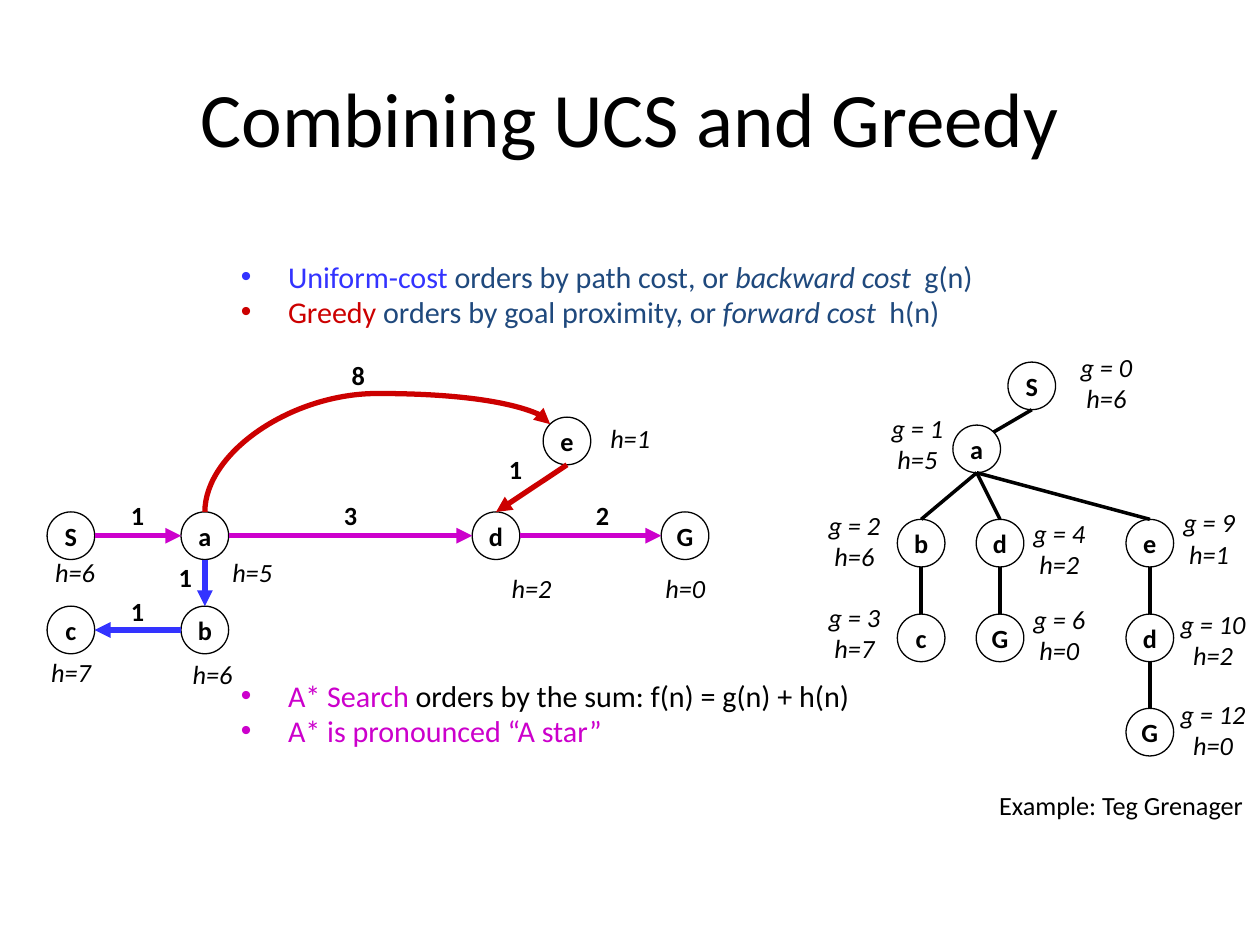
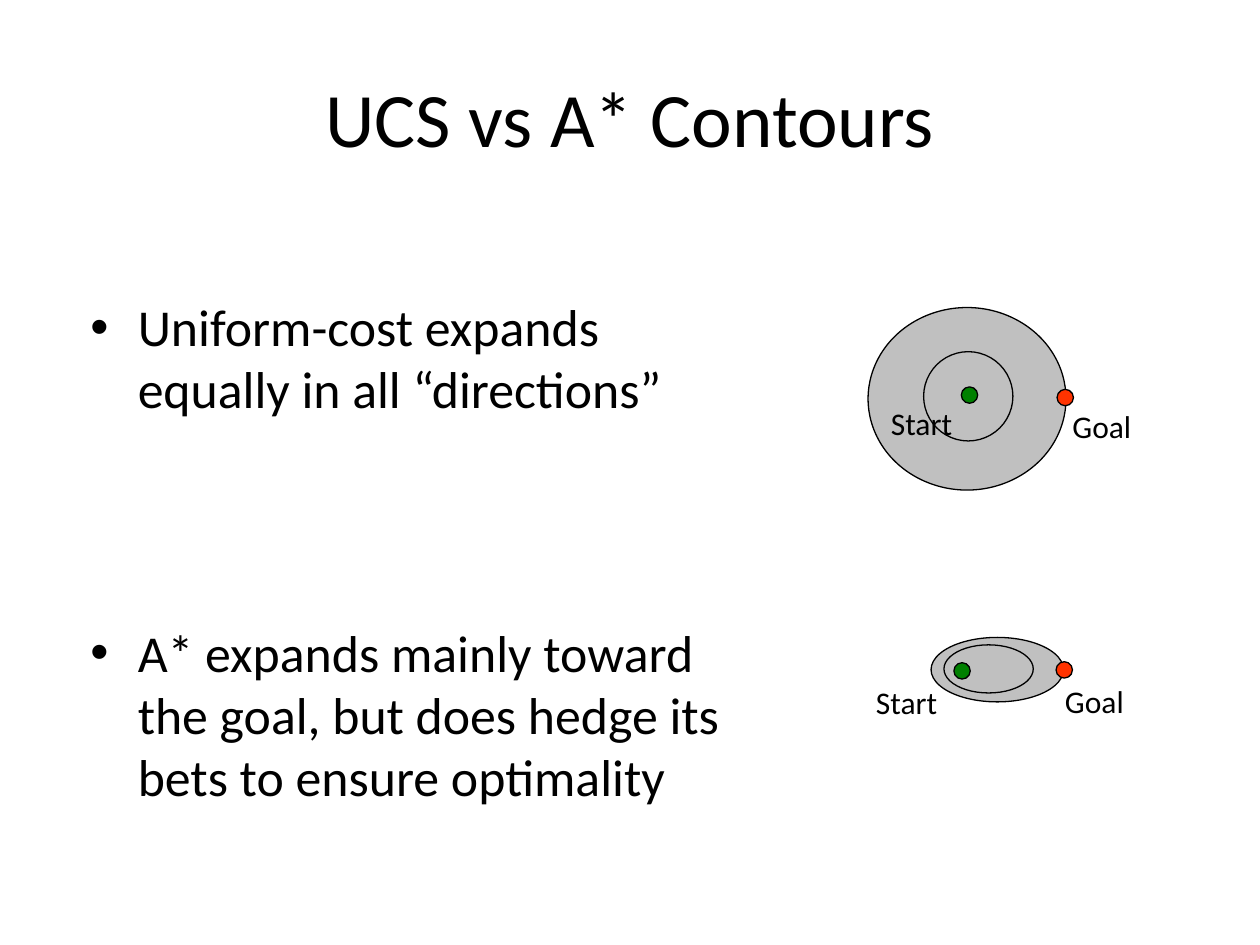
from math import sqrt

from lxml.etree import SubElement
from pptx import Presentation
from pptx.dml.color import RGBColor
from pptx.enum.shapes import MSO_CONNECTOR as Link, MSO_SHAPE as Shape
from pptx.enum.text import MSO_ANCHOR as Anchor, MSO_AUTO_SIZE as AutoSize, PP_ALIGN as Align
from pptx.oxml.ns import qn
from pptx.util import Cm, Pt

BLACK = RGBColor(0x00, 0x00, 0x00)
WHITE = RGBColor(0xFF, 0xFF, 0xFF)
BLUE = RGBColor(0x33, 0x33, 0xFF)
NAVY = RGBColor(0x1F, 0x49, 0x7D)
RED = RGBColor(0xCC, 0x00, 0x00)
MAGENTA = RGBColor(0xCC, 0x00, 0xCC)
GREY = RGBColor(0xC0, 0xC0, 0xC0)
START_GREEN = RGBColor(0x00, 0x80, 0x00)
GOAL_RED = RGBColor(0xFF, 0x33, 0x00)

FONT = "Calibri"
TITLE_BOX = (1.27, 0.76, 22.86, 3.18)
RADIUS = 0.48
DIAGONAL = RADIUS / sqrt(2)
SIDES = {
    "top": (0, -RADIUS),
    "bottom": (0, RADIUS),
    "left": (-RADIUS, 0),
    "right": (RADIUS, 0),
    "top left": (-DIAGONAL, -DIAGONAL),
    "top right": (DIAGONAL, -DIAGONAL),
}

GRAPH = {
    "S": (1.43, 10.8), "a": (4.13, 10.8), "d": (10, 10.8), "G": (13.81, 10.8),
    "c": (1.43, 12.7), "b": (4.13, 12.7), "e": (11.43, 8.89),
}
GRAPH_EDGES = [
    ("a", "bottom", "b", "top", BLUE),
    ("b", "left", "c", "right", BLUE),
    ("e", "bottom", "d", "top", RED),
    ("S", "right", "a", "left", MAGENTA),
    ("a", "right", "d", "left", MAGENTA),
    ("d", "right", "G", "left", MAGENTA),
]
HEURISTICS = [
    ("h=6", 0.64, 11.11, 1.75), ("h=5", 4.13, 11.11, 1.91),
    ("h=2", 10, 11.43, 1.43), ("h=0", 12.86, 11.43, 1.91),
    ("h=7", 0.64, 13.14, 1.59), ("h=6", 3.49, 13.18, 1.59),
    ("h=1", 11.91, 8.41, 1.59),
]
COSTS = [
    ("1", 2.22, 9.96), ("3", 6.51, 9.96), ("2", 11.59, 9.96), ("8", 6.67, 7.14),
    ("1", 9.84, 9.04), ("1", 3.18, 11.22), ("1", 2.22, 11.91),
]
SEARCH_TREE = {
    "S": (20.8, 7.78, "g = 0 h=6", 21.43, 6.98),
    "Sa": (19.69, 9.05, "g = 1 h=5", 17.62, 8.21),
    "Sab": (18.57, 10.95, "g = 2 h=6", 16.35, 10.16),
    "Sabc": (18.57, 12.86, "g = 3 h=7", 16.35, 12.02),
    "Sad": (20.16, 10.95, "g = 4 h=2", 20.48, 10.32),
    "SadG": (20.16, 12.86, "g = 6 h=0", 20.48, 12.06),
    "Sae": (23.18, 10.95, "g = 9 h=1", 23.5, 10.11),
    "Saed": (23.18, 12.86, "g = 10 h=2", 23.5, 12.16),
    "SaedG": (23.18, 14.76, "g = 12 h=0", 23.5, 13.97),
}


def lengths(values):
    return [Cm(value) for value in values]


def style_font(font, size, color=BLACK, bold=None, italic=None):
    font.name, font.size = FONT, Pt(size)
    font.color.rgb = color
    font.bold, font.italic = bold, italic


def set_insets(frame):
    frame.margin_left = frame.margin_right = Cm(0.18)
    frame.margin_top = frame.margin_bottom = Cm(0.1)


def place(placeholder, box):
    placeholder.left, placeholder.top, placeholder.width, placeholder.height = lengths(box)
    placeholder.text_frame.auto_size = AutoSize.NONE


def add_titled_slide(deck, heading):
    slide = deck.slides.add_slide(deck.slide_layouts[1])
    place(slide.shapes.title, TITLE_BOX)
    frame = slide.shapes.title.text_frame
    frame.text = heading
    frame.vertical_anchor = Anchor.MIDDLE
    frame.paragraphs[0].alignment = Align.CENTER
    style_font(frame.paragraphs[0].font, 44)
    return slide


def fill_list(slide, box, items, size, line_spacing=1.0):
    body = slide.placeholders[1]
    place(body, box)
    frame = body.text_frame
    for index, (space_before, runs) in enumerate(items):
        paragraph = frame.add_paragraph() if index else frame.paragraphs[0]
        paragraph.space_before = Pt(space_before)
        paragraph.line_spacing = line_spacing
        style_font(paragraph.font, size)
        for text, color, italic in runs:
            run = paragraph.add_run()
            run.text = text
            run.font.color.rgb = color
            if italic:
                run.font.italic = True


def add_label(slide, text, box, size=15, align=Align.CENTER, **emphasis):
    frame = slide.shapes.add_textbox(*lengths(box)).text_frame
    frame.word_wrap = True
    set_insets(frame)
    frame.text = text
    frame.paragraphs[0].alignment = align
    style_font(frame.paragraphs[0].font, size, **emphasis)


def add_ellipse(slide, box, color=None):
    ellipse = slide.shapes.add_shape(Shape.OVAL, *lengths(box))
    ellipse.shadow.inherit = False
    if color is None:
        ellipse.fill.background()
    else:
        ellipse.fill.solid()
        ellipse.fill.fore_color.rgb = color
    ellipse.line.color.rgb = BLACK
    ellipse.line.width = Pt(0.75)
    return ellipse


def add_node(slide, name, x, y):
    box = (x - RADIUS, y - RADIUS, 2 * RADIUS, 2 * RADIUS)
    frame = add_ellipse(slide, box, WHITE).text_frame
    set_insets(frame)
    frame.word_wrap = False
    frame.vertical_anchor = Anchor.MIDDLE
    frame.text = name
    frame.paragraphs[0].alignment = Align.CENTER
    style_font(frame.paragraphs[0].font, 15, bold=True)


def side_of(center, side):
    return tuple(c + shift for c, shift in zip(center, SIDES[side]))


def add_edge(slide, start, end, color, width, arrow=False, kind=Link.STRAIGHT):
    edge = slide.shapes.add_connector(kind, *lengths(start + end))
    edge.line.color.rgb = color
    edge.line.width = Pt(width)
    properties = edge._element.spPr
    if arrow:
        SubElement(properties.find(qn("a:ln")), qn("a:tailEnd"), type="triangle")
    SubElement(properties, qn("a:effectLst"))
    return edge


def add_arc(slide, start, end, color, bulge):
    across, rise = end[0] - start[0], start[1] - end[1]
    middle_x, middle_y = (start[0] + end[0]) / 2, (start[1] + end[1]) / 2
    corner = (middle_x - rise / 2, middle_y - across / 2)
    opposite = (middle_x + rise / 2, middle_y + across / 2)
    arc = add_edge(slide, corner, opposite, color, 3, True, Link.CURVE)
    properties = arc._element.spPr
    properties.find(qn("a:xfrm")).set("rot", str(270 * 60000))
    geometry = properties.find(qn("a:prstGeom"))
    adjustments = geometry.find(qn("a:avLst"))
    if adjustments is None:
        adjustments = SubElement(geometry, qn("a:avLst"))
    SubElement(adjustments, qn("a:gd"), name="adj1", fmla=f"val {round(bulge * 100000)}")


def add_graph(slide):
    for name, center in GRAPH.items():
        add_node(slide, name, *center)
    for text, left, top, width in HEURISTICS:
        add_label(slide, text, (left, top, width, 0.84), italic=True)
    for text, left, top in COSTS:
        add_label(slide, text, (left, top, 1.11, 0.84), bold=True)
    add_arc(slide, side_of(GRAPH["a"], "top"), side_of(GRAPH["e"], "top left"), RED, 1.35)
    for source, leaving, target, entering, color in GRAPH_EDGES:
        start, end = side_of(GRAPH[source], leaving), side_of(GRAPH[target], entering)
        add_edge(slide, start, end, color, 3, arrow=True)


def add_search_tree(slide):
    for route, (x, y, values, left, top) in SEARCH_TREE.items():
        add_node(slide, route[-1], x, y)
        width = 1.91 if len(values) > 9 else 1.75
        add_label(slide, values, (left, top, width, 1.47), italic=True)
        parent = SEARCH_TREE.get(route[:-1])
        if parent:
            entering = "top right" if route == "Sa" else "top"
            add_edge(slide, side_of(parent[:2], "bottom"), side_of((x, y), entering), BLACK, 2)


def add_contours(slide, outer, inner, start, goal, start_label, goal_label):
    add_ellipse(slide, outer, GREY)
    add_ellipse(slide, inner)
    for text, dot, label, color in [
        ("Start", start, start_label, START_GREEN),
        ("Goal", goal, goal_label, GOAL_RED),
    ]:
        add_ellipse(slide, dot + (0.33, 0.33), color)
        add_label(slide, text, label + (1.91, 0.96), size=18, align=Align.LEFT)


def build_combining(deck):
    slide = add_titled_slide(deck, "Combining UCS and Greedy")
    fill_list(slide, (4.6, 5.23, 17.15, 10.46), [
        (0, [("Uniform-cost ", BLUE, False), ("orders by path cost, or ", NAVY, False),
             ("backward cost  ", NAVY, True), ("g(n)", NAVY, False)]),
        (3.4, [("Greedy ", RED, False), ("orders by goal proximity, or ", NAVY, False),
               ("forward cost  ", NAVY, True), ("h(n)", NAVY, False)]),
        (203, [("A* Search", MAGENTA, False),
               (" orders by the sum: f(n) = g(n) + h(n)", BLACK, False)]),
        (3.4, [("A* is pronounced “A star”", MAGENTA, False)]),
    ], 17.2, 0.8)
    add_graph(slide)
    add_search_tree(slide)
    add_label(slide, "Example: Teg Grenager", (19.37, 15.82, 5.87, 0.84), align=Align.RIGHT)


def build_contours(deck):
    slide = add_titled_slide(deck, "UCS vs A* Contours")
    fill_list(slide, (1.57, 5.82, 13.97, 9.42), [
        (0, [("Uniform-cost expands equally in all “directions”", BLACK, False)]),
        (115, [("A* expands mainly toward the goal, but does hedge its bets to ensure optimality",
                BLACK, False)]),
    ], 29.6)
    add_contours(slide, (17.5, 6.2, 3.99, 3.68), (18.62, 7.09, 1.8, 1.8),
                 (19.38, 7.8), (21.31, 7.85), (17.78, 8.05), (21.44, 8.1))
    add_contours(slide, (18.77, 12.85, 2.67, 1.3), (19.03, 13, 1.8, 0.97),
                 (19.23, 13.36), (21.29, 13.34), (17.48, 13.67), (21.29, 13.64))


def main():
    deck = Presentation()
    deck.slide_width, deck.slide_height = Cm(25.4), Cm(19.05)
    build_combining(deck)
    build_contours(deck)
    deck.save("out.pptx")


if __name__ == "__main__":
    main()
